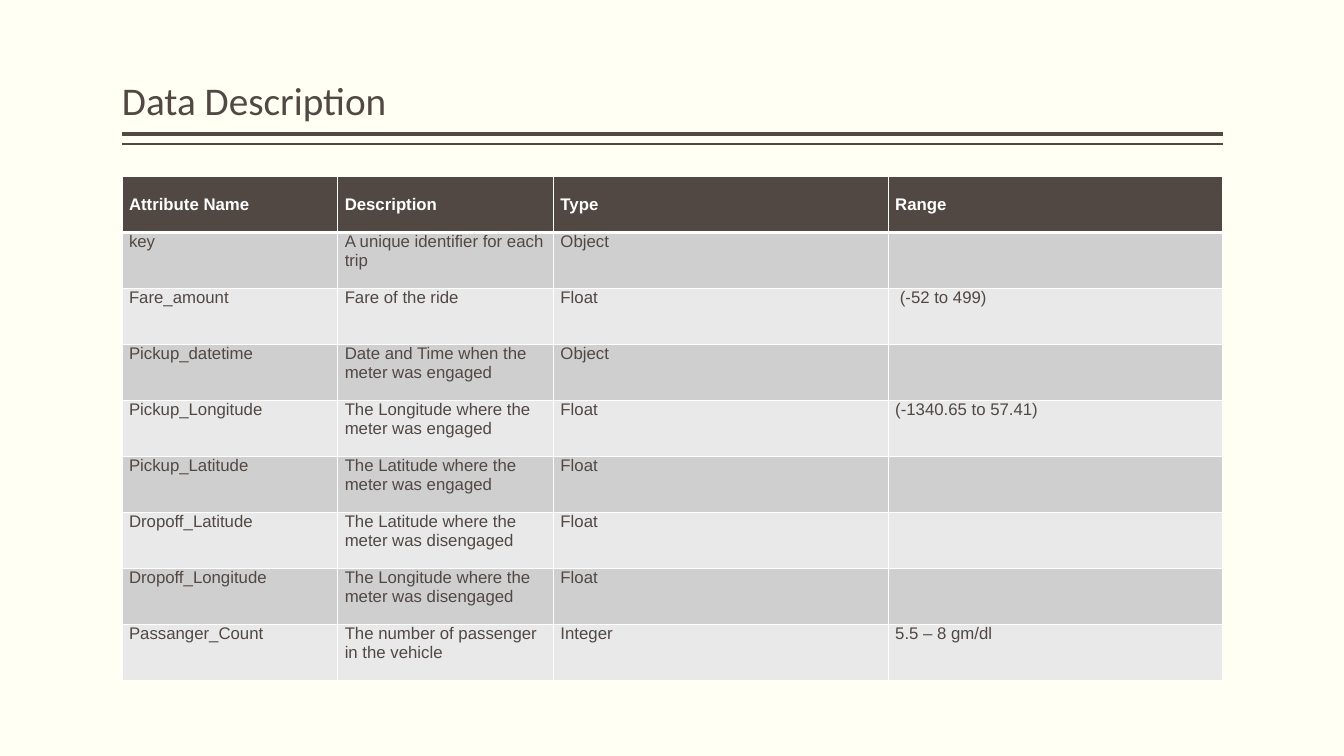
from lxml import etree
from pptx import Presentation
from pptx.dml.color import RGBColor
from pptx.enum.shapes import MSO_CONNECTOR
from pptx.enum.text import MSO_ANCHOR
from pptx.oxml.ns import qn
from pptx.util import Inches, Pt

STRAIGHT = MSO_CONNECTOR.STRAIGHT
TOP, MIDDLE, BOTTOM = MSO_ANCHOR.TOP, MSO_ANCHOR.MIDDLE, MSO_ANCHOR.BOTTOM

COLORS = {
    "background": "FFFFF3",
    "brown": "514843",
    "white": "FFFFFF",
    "dark_band": "D0CFCF",
    "light_band": "E9E9E9",
}
COLUMN_WIDTHS = [2.14, 2.14, 3.32, 3.32]
ROWS = [
    ["Attribute Name", "Description", "Type", "Range"],
    ["key", "A unique identifier for each trip", "Object", ""],
    ["Fare_amount", "Fare of the ride", "Float", " (-52 to 499)"],
    ["Pickup_datetime", "Date and Time when the meter was engaged", "Object", ""],
    ["Pickup_Longitude", "The Longitude where the meter was engaged", "Float",
     "(-1340.65 to 57.41)"],
    ["Pickup_Latitude", "The Latitude where the meter was engaged", "Float", ""],
    ["Dropoff_Latitude", "The Latitude where the meter was disengaged", "Float", ""],
    ["Dropoff_Longitude", "The Longitude where the meter was disengaged", "Float", ""],
    ["Passanger_Count", "The number of passenger in the vehicle", "Integer",
     "5.5 – 8 gm/dl"],
]


def color(name):
    return RGBColor.from_string(COLORS[name])


def format_font(font, name, size, color_name, bold=False):
    font.name = name
    font.size = Pt(size)
    font.bold = bold
    font.color.rgb = color(color_name)


def add_rule(slide, left, top, width, weight):
    rule = slide.shapes.add_connector(
        STRAIGHT, Inches(left + width), Inches(top), Inches(left), Inches(top))
    rule.line.color.rgb = color("brown")
    rule.line.width = Pt(weight)
    etree.SubElement(rule._element.spPr, qn("a:effectLst"))


def add_title(slide, left, top, width, height):
    title = slide.shapes.add_textbox(
        Inches(left), Inches(top), Inches(width), Inches(height))
    frame = title.text_frame
    frame.word_wrap = True
    frame.vertical_anchor = BOTTOM
    frame.margin_left = frame.margin_right = 0
    frame.text = "Data Description"
    paragraph = frame.paragraphs[0]
    paragraph.line_spacing = 0.9
    format_font(paragraph.runs[0].font, "Calibri", 28, "brown")
    add_rule(slide, left, top + height + 0.05, width, 3)
    add_rule(slide, left, top + height + 0.15, width, 1)


def add_borders(cell, weights):
    properties = cell._tc.get_or_add_tcPr()
    for side, weight in weights.items():
        border = etree.SubElement(properties, qn(f"a:ln{side}"), w=str(Pt(weight)))
        fill = etree.SubElement(border, qn("a:solidFill"))
        etree.SubElement(fill, qn("a:srgbClr"), val=COLORS["white"])


def format_cell(cell, text, row_index):
    header = row_index == 0
    cell.margin_left = cell.margin_right = Inches(0.07)
    cell.margin_top = cell.margin_bottom = 0
    cell.vertical_anchor = MIDDLE if header else TOP
    add_borders(cell, {"L": 1, "R": 1, "T": 3 if row_index == 1 else 1,
                       "B": 3 if header else 1})
    band = "dark_band" if row_index % 2 else "light_band"
    cell.fill.solid()
    cell.fill.fore_color.rgb = color("brown" if header else band)
    cell.text_frame.text = text
    format_font(cell.text_frame.paragraphs[0].font, "Arial", 12,
                "white" if header else "brown", header)
    for run in cell.text_frame.paragraphs[0].runs:
        format_font(run.font, "Arial", 12, "white" if header else "brown", header)


def add_attribute_table(slide, left, top, width, height):
    table = slide.shapes.add_table(
        len(ROWS), len(COLUMN_WIDTHS), Inches(left), Inches(top),
        Inches(width), Inches(height)).table
    for column, column_width in zip(table.columns, COLUMN_WIDTHS):
        column.width = Inches(column_width)
    for row_index, texts in enumerate(ROWS):
        table.rows[row_index].height = Inches(height / len(ROWS))
        for column_index, text in enumerate(texts):
            format_cell(table.cell(row_index, column_index), text, row_index)


def main():
    presentation = Presentation()
    presentation.slide_width = Inches(13.33)
    presentation.slide_height = Inches(7.5)
    slide = presentation.slides.add_slide(presentation.slide_layouts[6])
    slide.background.fill.solid()
    slide.background.fill.fore_color.rgb = color("background")
    add_title(slide, 1.21, 0.08, 10.92, 1.2)
    add_attribute_table(slide, 1.21, 1.75, 10.92, 5)
    presentation.save("out.pptx")


if __name__ == "__main__":
    main()
